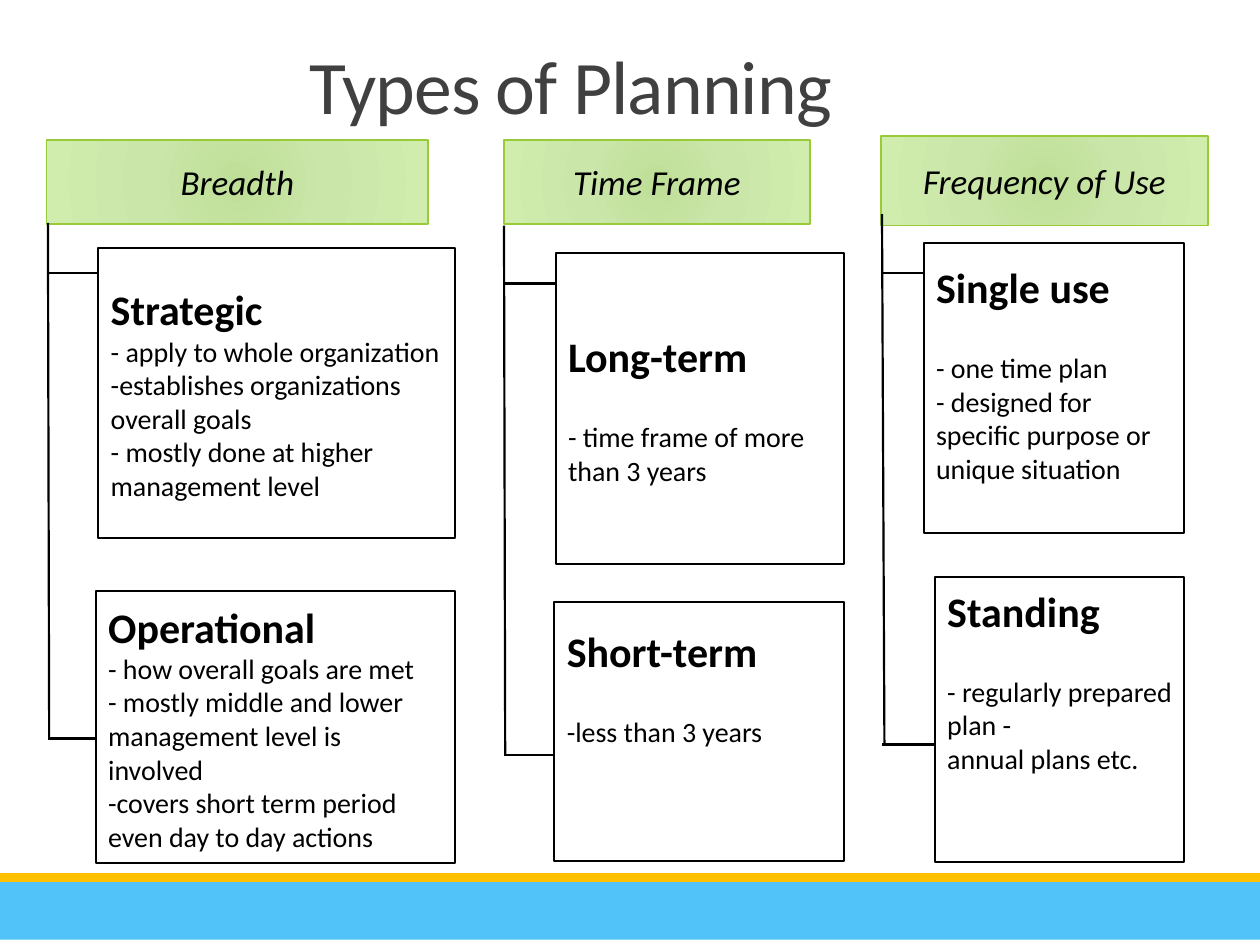
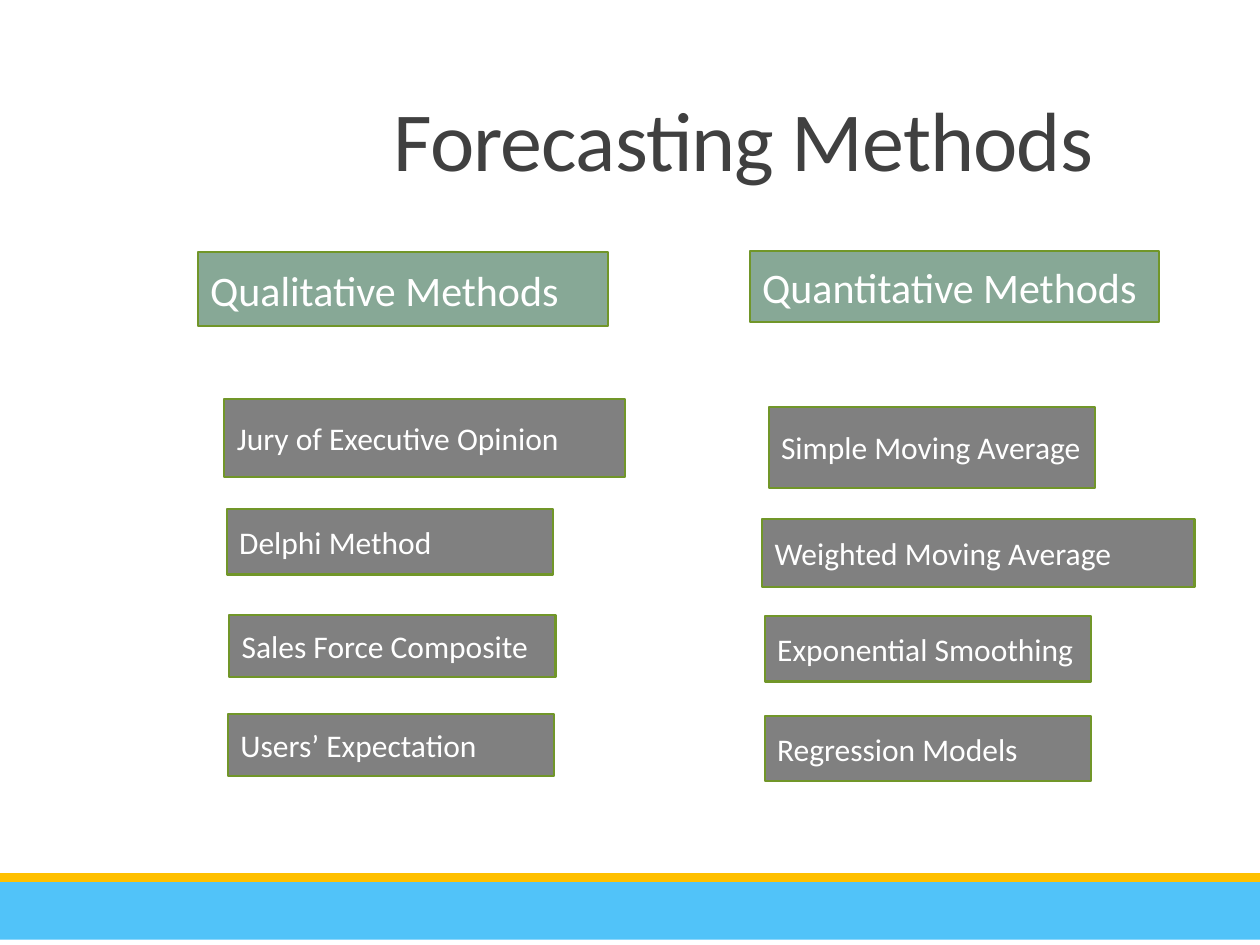
from lxml import etree
from pptx import Presentation
from pptx.dml.color import RGBColor
from pptx.enum.shapes import MSO_CONNECTOR as Connector, MSO_SHAPE as Preset
from pptx.enum.text import MSO_ANCHOR as Anchor, PP_ALIGN as Align
from pptx.oxml import parse_xml
from pptx.oxml.ns import nsdecls, qn
from pptx.util import Pt

FONT = "Calibri"
COLORS = {
    "sky": "51C3F9", "gold": "FFC000", "title": "404040",
    "black": "000000", "white": "FFFFFF", "lime": "99CB38",
    "olive": "719629", "sage": "87A896", "gray": "808080",
}
HEADER_STOPS = [(0, "BEDF97"), (45, "CAE6A9"), (100, "D0EDAE")]
BANDS = [((0, 501, 720, 36), "sky"), ((0, 499, 720, 5), "gold")]

PLANNING_TITLE = ("Types of Planning", (43.9, 31.7, 564.5, 46), 43.2)
PLANNING = [
    {"header": ("Breadth", (26.6, 79.9, 218.2, 48.2)),
     "trunk": (27.4, 127.4, 28.1),
     "plans": [
         {"name": "Strategic", "area": (56.2, 141.8, 203.8, 165.6),
          "branch": 156.2, "gap": 0, "tail": 0,
          "points": ["- apply to whole organization",
                     "-establishes organizations overall goals",
                     "- mostly done at higher management level"]},
         {"name": "Operational", "area": (54.7, 337.7, 205.2, 155.5),
          "branch": 422, "gap": 0, "tail": 0,
          "points": ["- how overall goals are met",
                     "- mostly middle and lower management level is involved",
                     "-covers short term period even day to day actions"]}]},
    {"header": ("Time Frame", (288, 79.9, 174.9, 48.2)),
     "trunk": (288, 128.9, 288.7),
     "plans": [
         {"name": "Long-term", "area": (317.5, 144.7, 165, 177.8),
          "branch": 162, "gap": 22, "tail": 0,
          "points": ["- time frame of more than 3 years"]},
         {"name": "Short-term", "area": (316.8, 344.2, 165.6, 147.6),
          "branch": 431.5, "gap": 22, "tail": 51,
          "points": ["-less than 3 years"]}]},
    {"header": ("Frequency of Use", (503.3, 77.8, 187.2, 51.1)),
     "trunk": (504, 122.4, 505.4),
     "plans": [
         {"name": "Single use", "area": (527.8, 139, 149, 165.6),
          "branch": 156.2, "gap": 22, "tail": 17,
          "points": ["- one time plan",
                     "- designed for specific purpose or unique situation"]},
         {"name": "Standing", "area": (534.2, 329.8, 142.6, 162.7),
          "branch": 425.5, "gap": 22, "tail": 45,
          "points": ["- regularly prepared plan -", "annual plans etc."]}]},
]

FORECAST_TITLE = ("Forecasting Methods", (129.6, 21.6, 590.4, 90), 48)
FORECAST_HEADERS = [
    ("Qualitative Methods", (113, 144, 234.7, 42.5)),
    ("Quantitative Methods", (428.4, 143.3, 234, 41)),
]
FORECAST_METHODS = [
    ("Jury of Executive Opinion", (128.2, 228.2, 229, 44.6)),
    ("Delphi Method", (129.6, 290.9, 186.5, 37.4)),
    ("Sales Force Composite", (131, 351.4, 186.5, 35.3)),
    ("Users’ Expectation", (130.3, 408.2, 186.5, 35.3)),
    ("Simple Moving Average", (439.2, 232.6, 186.5, 46.1)),
    ("Weighted Moving Average", (435.6, 296.6, 247, 38.9)),
    ("Exponential Smoothing", (437, 352.1, 186.5, 37.4)),
    ("Regression Models", (437, 409, 186.5, 37.4)),
]


def color(name):
    return RGBColor.from_string(COLORS[name])


def add_box(page, area, fill, line=None, width=1.25):
    box = page.shapes.add_shape(Preset.RECTANGLE, *map(Pt, area))
    box.shadow.inherit = False
    box.fill.solid()
    box.fill.fore_color.rgb = color(fill)
    if line:
        box.line.color.rgb = color(line)
        box.line.width = Pt(width)
    else:
        box.line.fill.background()
    return box


def write(box, lines, ink, align=Align.LEFT, anchor=Anchor.MIDDLE):
    frame = box.text_frame
    frame.word_wrap = True
    frame.vertical_anchor = anchor
    for index, (text, size, bold, italic, gap) in enumerate(lines):
        para = frame.add_paragraph() if index else frame.paragraphs[0]
        para.text = text
        para.alignment = align
        if gap:
            para.space_before = Pt(gap)
        font = para.font
        font.name, font.size, font.bold, font.italic = FONT, Pt(size), bold, italic
        font.color.rgb = color(ink)
    return frame


def add_line(page, *ends):
    line = page.shapes.add_connector(Connector.STRAIGHT, *map(Pt, ends))
    line.line.color.rgb = color("black")
    line.line.width = Pt(1.25)
    etree.SubElement(line._element.spPr, qn("a:effectLst"))


def add_glow(box):
    stops = "".join(f'<a:gs pos="{at * 1000}"><a:srgbClr val="{tint}"/></a:gs>'
                    for at, tint in HEADER_STOPS)
    glow = parse_xml(
        f'<a:gradFill {nsdecls("a")}><a:gsLst>{stops}</a:gsLst><a:path path="circle">'
        '<a:fillToRect l="100000" t="100000" r="100000" b="100000"/>'
        '</a:path></a:gradFill>')
    properties = box._element.spPr
    properties.replace(properties.find(qn("a:solidFill")), glow)


def add_page(deck, title, area, size):
    page = deck.slides.add_slide(deck.slide_layouts[6])
    for band, fill in BANDS:
        add_box(page, band, fill)
    box = page.shapes.add_textbox(*map(Pt, area))
    frame = write(box, [(title, size, False, False, 0)], "title",
                  Align.CENTER, Anchor.BOTTOM)
    para = frame.paragraphs[0]
    para.line_spacing = 0.85
    para.runs[0].font._element.set("spc", "-50")
    return page


def add_plan(page, plan):
    box = add_box(page, plan["area"], "white", "black")
    lines = [(plan["name"], 24, True, False, 0)]
    for index, point in enumerate(plan["points"]):
        lines.append((point, 16, False, False, 0 if index else plan["gap"]))
    frame = write(box, lines, "black")
    frame.margin_bottom = Pt(3.6 + plan["tail"])


def build_planning(deck):
    page = add_page(deck, *PLANNING_TITLE)
    for column in PLANNING:
        text, area = column["header"]
        header = add_box(page, area, "lime", "lime", 1)
        add_glow(header)
        write(header, [(text, 20, False, True, 0)], "black", Align.CENTER)
        plans = column["plans"]
        left, top, foot = column["trunk"]
        add_line(page, left, top, foot, plans[-1]["branch"])
        for plan in plans:
            add_line(page, left, plan["branch"], plan["area"][0], plan["branch"])
            add_plan(page, plan)


def build_forecasting(deck):
    page = add_page(deck, *FORECAST_TITLE)
    for entries, fill, size in ((FORECAST_HEADERS, "sage", 24),
                                (FORECAST_METHODS, "gray", 18)):
        for text, area in entries:
            box = add_box(page, area, fill, "olive")
            write(box, [(text, size, False, False, 0)], "white")


def main():
    deck = Presentation()
    deck.slide_width, deck.slide_height = Pt(720), Pt(540)
    build_planning(deck)
    build_forecasting(deck)
    deck.save("out.pptx")


if __name__ == "__main__":
    main()
